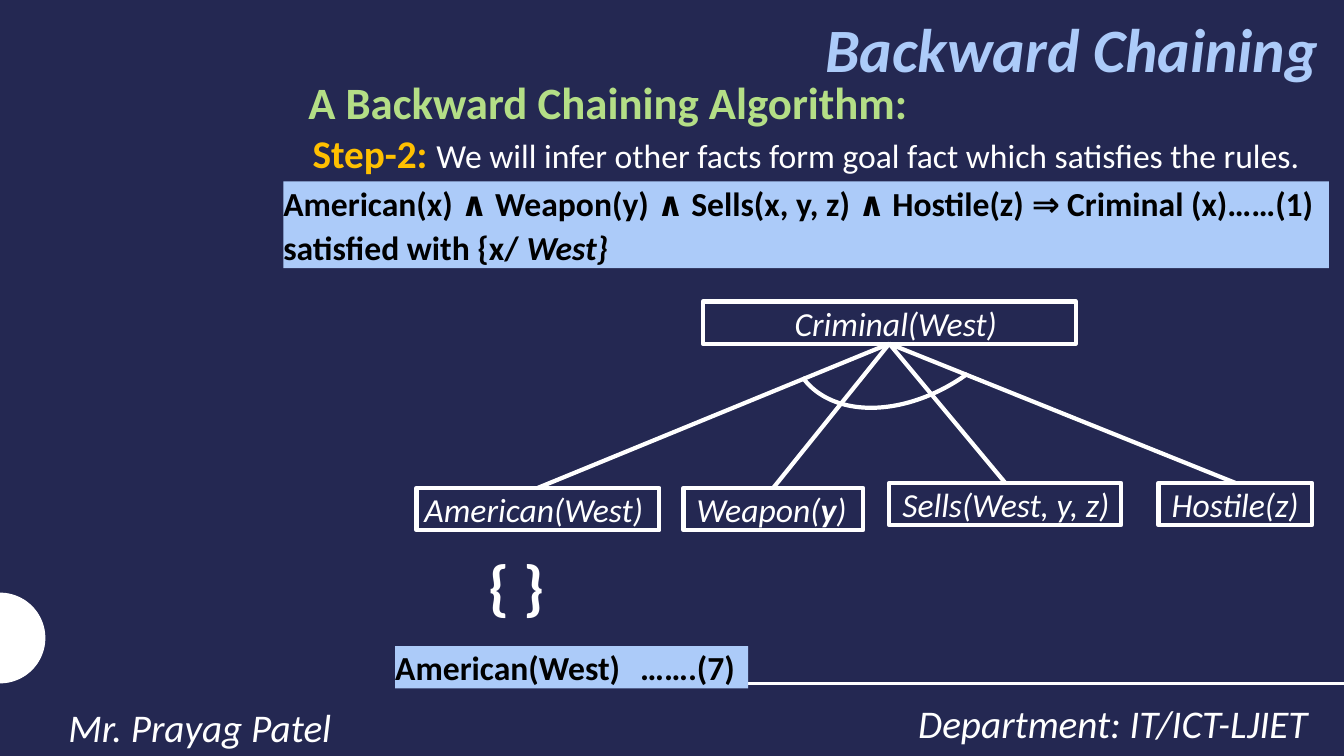
import math

from lxml import etree
from pptx import Presentation
from pptx.dml.color import RGBColor
from pptx.enum.shapes import MSO_CONNECTOR, MSO_SHAPE
from pptx.enum.text import MSO_ANCHOR, PP_ALIGN
from pptx.oxml.ns import qn
from pptx.util import Inches, Pt

NAVY = RGBColor(0x24, 0x28, 0x52)
WHITE = RGBColor(0xFF, 0xFF, 0xFF)
BLACK = RGBColor(0x00, 0x00, 0x00)
SKY = RGBColor(0xAC, 0xCB, 0xF9)
LIME = RGBColor(0xB4, 0xDE, 0x86)
AMBER = RGBColor(0xFF, 0xC0, 0x00)

STRAIGHT = MSO_CONNECTOR.STRAIGHT
RECT, ARC = MSO_SHAPE.RECTANGLE, MSO_SHAPE.ARC
LEFT, CENTER, RIGHT = PP_ALIGN.LEFT, PP_ALIGN.CENTER, PP_ALIGN.RIGHT
TOP, MIDDLE = MSO_ANCHOR.TOP, MSO_ANCHOR.MIDDLE
BOTTOM_SITE, TOP_SITE = 2, 0
FONT = "Calibri"


def set_frame(s, insets, anchor=TOP):
    tf = s.text_frame
    tf.word_wrap = True
    tf.vertical_anchor = anchor
    tf.margin_left, tf.margin_top, tf.margin_right, tf.margin_bottom = map(Inches, insets)
    return tf


def write(p, runs, size, color, bold=None, italic=None, align=LEFT):
    """Fill a paragraph; each run is (text, {font attribute: value})."""
    p.alignment = align
    p.font.name, p.font.size = FONT, Pt(size)
    p.font.color.rgb = color
    p.font.bold, p.font.italic = bold, italic
    for text, changes in runs:
        r = p.add_run()
        r.text = text
        for name, value in changes.items():
            if name == "color":
                r.font.color.rgb = value
            else:
                setattr(r.font, name, value)


def add_text(slide, box, text, size, color, bold=None, italic=None, align=LEFT,
             anchor=TOP, spacing=None, insets=(0.1, 0.05, 0.1, 0.05)):
    s = slide.shapes.add_textbox(*map(Inches, box))
    p = set_frame(s, insets, anchor).paragraphs[0]
    p.line_spacing = spacing
    runs = [(text, {})] if isinstance(text, str) else text
    write(p, runs, size, color, bold, italic, align)


def add_rect(slide, box, fill=None, line=None):
    s = slide.shapes.add_shape(RECT, *map(Inches, box))
    s.shadow.inherit = False
    if fill is None:
        s.fill.background()
    else:
        s.fill.solid()
        s.fill.fore_color.rgb = fill
    if line is None:
        s.line.fill.background()
    else:
        s.line.color.rgb = line
        s.line.width = Pt(3)
    return s


def add_band(slide, box, lines, tab=None):
    s = add_rect(slide, box, fill=SKY)
    tf = set_frame(s, (0, 0.01, 0, 0))
    for i, runs in enumerate(lines):
        p = tf.add_paragraph() if i else tf.paragraphs[0]
        if i:
            p.space_before = Pt(3)
        if tab is not None:
            tabs = etree.SubElement(p._p.get_or_add_pPr(), qn("a:tabLst"))
            etree.SubElement(tabs, qn("a:tab"), pos=str(Inches(tab)), algn="l")
        write(p, runs, 24, BLACK, bold=True)


def add_node(slide, box, runs, indent=0.13, align=LEFT):
    s = add_rect(slide, box, line=WHITE)
    tf = set_frame(s, (indent, 0.01, 0, 0))
    write(tf.paragraphs[0], runs, 24, WHITE, italic=True, align=align)
    return s


def add_line(slide, start, end, width):
    s = slide.shapes.add_connector(STRAIGHT, *map(Inches, (*start, *end)))
    s.line.color.rgb = WHITE
    s.line.width = Pt(width)
    etree.SubElement(s._element.spPr, qn("a:effectLst"))
    return s


def add_branch(slide, parent, child):
    s = add_line(slide, (0, 0), (1, 1), 3)
    s.begin_connect(parent, BOTTOM_SITE)
    s.end_connect(child, TOP_SITE)


def add_and_arc(slide):
    s = slide.shapes.add_shape(ARC, *map(Inches, (8.12, 1.61, 1.86, 2.69)))
    s.shadow.inherit = False
    s.fill.background()
    s.line.color.rgb = WHITE
    s.line.width = Pt(3)
    s.rotation = 54.1
    s._element.spPr.find(qn("a:xfrm")).set("flipV", "1")


def add_half_disc(slide, center_y, radius, steps=48):
    angles = [math.pi * (i / steps - 0.5) for i in range(steps + 1)]
    points = [(Inches(radius * math.cos(a)), Inches(center_y + radius * math.sin(a)))
              for a in angles]
    builder = slide.shapes.build_freeform(*points[0])
    builder.add_line_segments(points[1:], close=True)
    s = builder.convert_to_shape()
    s.shadow.inherit = False
    s.fill.solid()
    s.fill.fore_color.rgb = WHITE
    s.line.fill.background()


def main():
    prs = Presentation()
    prs.slide_width, prs.slide_height = Inches(13.33), Inches(7.5)
    slide = prs.slides.add_slide(prs.slide_layouts[6])
    slide.background.fill.solid()
    slide.background.fill.fore_color.rgb = NAVY

    # Decoration and footer
    add_half_disc(slide, 6.33, 0.45)
    add_line(slide, (5.67, 6.78), (13.33, 6.78), 2)
    add_text(slide, (8.08, 6.82, 5.12, 0.63), "Department: IT/ICT-LJIET", 28, WHITE,
             italic=True, align=RIGHT, spacing=1.14, insets=(0.1, 0.05, 0.23, 0.05))
    add_text(slide, (0.58, 6.86, 8.52, 0.63), "Mr. Prayag Patel", 28, WHITE,
             italic=True, spacing=1.14)

    # Headings
    add_text(slide, (2.12, 0.03, 11.06, 0.9), "Backward Chaining", 44, SKY,
             bold=True, italic=True, align=RIGHT, anchor=MIDDLE)
    add_text(slide, (2.96, 0.69, 6.4, 0.64), "A Backward Chaining Algorithm:", 32, LIME,
             bold=True)
    step = [("Step-2: ", {"size": Pt(28), "color": AMBER, "bold": True}),
            ("We will infer other facts form goal fact which satisfies the rules.", {})]
    add_text(slide, (3.1, 1.27, 10.08, 0.49), step, 24, WHITE, insets=(0, 0.01, 0, 0))

    # Rule being applied
    add_band(slide, (2.81, 1.8, 10.37, 0.86), [
        [("American(x) ∧ Weapon(y) ∧ Sells(x, y, z) ∧ Hostile(z) ⇒ Criminal (x)……(1)", {})],
        [("satisfied with {x/ ", {}), ("West}", {"italic": True})],
    ])

    # Goal tree
    goal = add_node(slide, (6.97, 2.99, 3.7, 0.42), [("Criminal(West)", {})], align=CENTER)
    weapon = [("Weapon(", {}), ("y", {"bold": True}), (")", {})]
    subgoals = [
        (4.13, 4.84, 2.41, [("American(West)", {})], 0.08),
        (6.78, 4.84, 1.78, weapon, 0.13),
        (8.82, 4.79, 2.3, [("Sells(West, y, z)", {})], 0.13),
        (11.49, 4.79, 1.52, [("Hostile(z)", {})], 0.13),
    ]
    for left, top, width, runs, indent in subgoals:
        subgoal = add_node(slide, (left, top, width, 0.42), runs, indent)
        add_branch(slide, goal, subgoal)
    add_and_arc(slide)

    # Matched fact
    add_text(slide, (4.75, 5.39, 1, 0.84), "{ }", 44, WHITE, bold=True)
    add_band(slide, (3.92, 6.41, 3.5, 0.42), [[("American(West)\t…….(7)", {})]], tab=2.43)

    prs.save("out.pptx")


if __name__ == "__main__":
    main()
